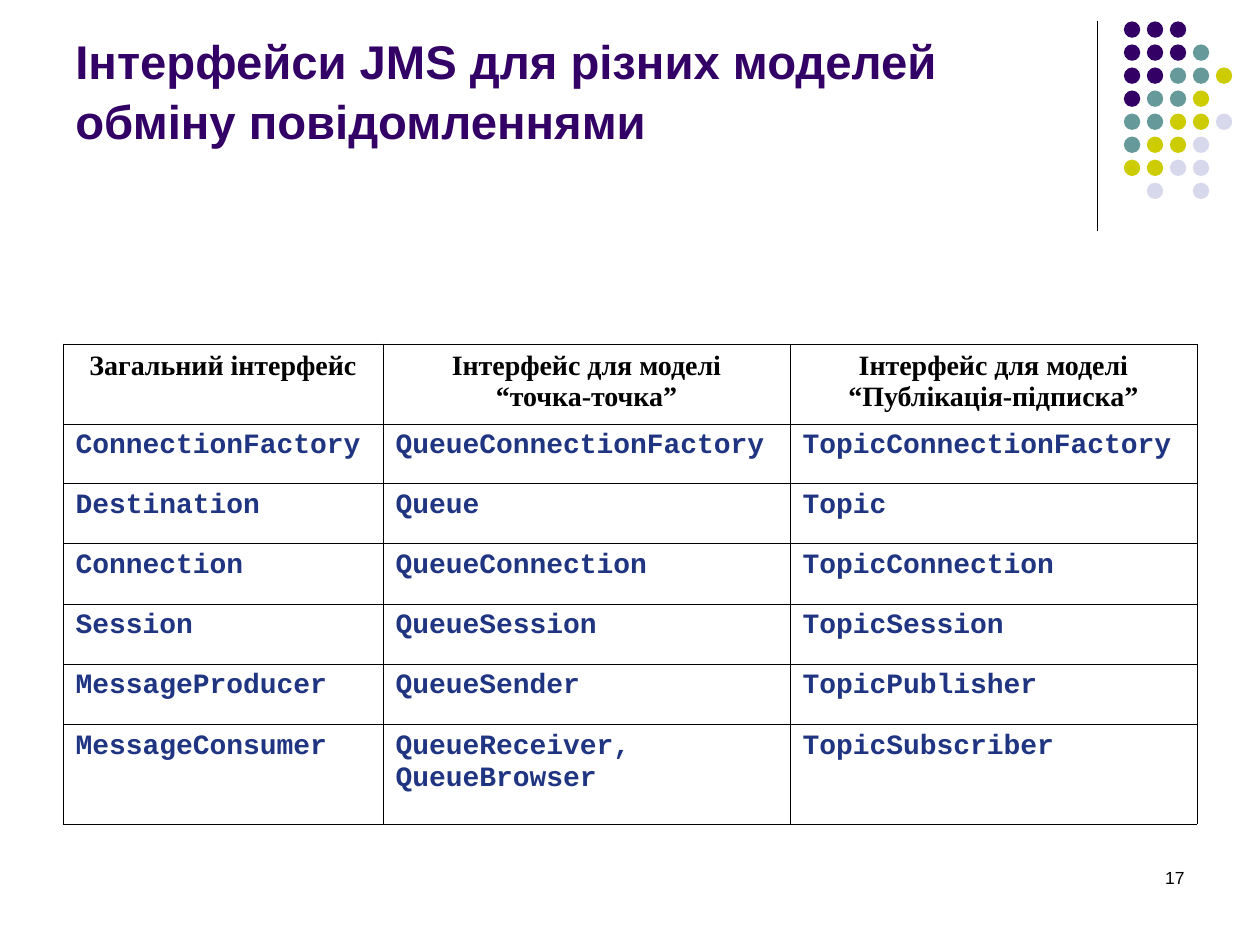
from dataclasses import dataclass

from lxml.etree import SubElement
from pptx import Presentation
from pptx.dml.color import RGBColor
from pptx.enum.shapes import MSO_CONNECTOR, MSO_SHAPE
from pptx.enum.text import MSO_ANCHOR, PP_ALIGN
from pptx.oxml.ns import qn
from pptx.util import Inches, Pt


@dataclass(frozen=True)
class Theme:
    purple: str = "330066"
    teal: str = "669999"
    olive: str = "CCCC00"
    lilac: str = "D8D8EC"
    code: str = "203582"
    black: str = "000000"
    sans: str = "Arial"
    serif: str = "Times New Roman"
    mono: str = "Courier New"
    title_size: float = 27
    table_size: float = 16
    number_size: float = 10
    border: float = 0.45
    rule: float = 0.75


THEME = Theme()
DOT_COLORS = {"P": THEME.purple, "T": THEME.teal, "O": THEME.olive, "L": THEME.lilac}
DOT_ROWS = ["PPP", "PPPT", "PPTTO", "PTTO", "TTOOL", "TOOL", "OOLL", " L L"]

COLUMN_WIDTHS = [2.54, 3.23, 3.23]
ROW_HEIGHTS = [0.64, 0.47, 0.48, 0.48, 0.48, 0.48, 0.79]
INTERFACES = [
    ["Загальний інтерфейс", "Інтерфейс для моделі\n“точка-точка”",
     "Інтерфейс для моделі\n“Публікація-підписка”"],
    ["ConnectionFactory", "QueueConnectionFactory", "TopicConnectionFactory"],
    ["Destination", "Queue", "Topic"],
    ["Connection", "QueueConnection", "TopicConnection"],
    ["Session", "QueueSession", "TopicSession"],
    ["MessageProducer", "QueueSender", "TopicPublisher"],
    ["MessageConsumer", "QueueReceiver,\nQueueBrowser", "TopicSubscriber"],
]


def style(p, face, size, color, bold=False, align=PP_ALIGN.LEFT):
    p.alignment = align
    p.font.name, p.font.size, p.font.bold = face, Pt(size), bold
    p.font.color.rgb = RGBColor.from_string(color)


def add_text(slide, box, text, anchor=MSO_ANCHOR.TOP):
    """Add a wrapping text box and return its paragraph."""
    tf = slide.shapes.add_textbox(*map(Inches, box)).text_frame
    tf.word_wrap = True
    tf.vertical_anchor = anchor
    tf.text = text
    return tf.paragraphs[0]


def add_title(slide, box, text):
    p = add_text(slide, box, text, MSO_ANCHOR.BOTTOM)
    p.line_spacing = 1.05
    style(p, THEME.sans, THEME.title_size, THEME.purple, bold=True)


def add_page_number(slide, box, number):
    p = add_text(slide, box, str(number))
    style(p, THEME.sans, THEME.number_size, THEME.black, align=PP_ALIGN.RIGHT)


def add_rule(slide, x, top, bottom):
    line = slide.shapes.add_connector(
        MSO_CONNECTOR.STRAIGHT, *map(Inches, (x, top, x, bottom)))
    line.line.color.rgb = RGBColor.from_string(THEME.black)
    line.line.width = Pt(THEME.rule)
    SubElement(line._element.spPr, qn("a:effectLst"))


def add_dots(slide, box):
    """Fill the box with the dot pattern, one dot per non-blank letter."""
    left, top, width, height = box
    size = 0.13
    step_x = (width - size) / (max(map(len, DOT_ROWS)) - 1)
    step_y = (height - size) / (len(DOT_ROWS) - 1)
    group = slide.shapes.add_group_shape()
    for r, row in enumerate(DOT_ROWS):
        for c, key in enumerate(row):
            if key == " ":
                continue
            dot = group.shapes.add_shape(
                MSO_SHAPE.OVAL, Inches(left + c * step_x), Inches(top + r * step_y),
                Inches(size), Inches(size))
            dot.shadow.inherit = False
            dot.fill.solid()
            dot.fill.fore_color.rgb = RGBColor.from_string(DOT_COLORS[key])
            dot.line.fill.background()


def set_borders(cell):
    tc_pr = cell._tc.get_or_add_tcPr()
    for i, side in enumerate(("lnL", "lnR", "lnT", "lnB")):
        ln = tc_pr.makeelement(qn(f"a:{side}"), {"w": str(Pt(THEME.border))})
        fill = SubElement(ln, qn("a:solidFill"))
        SubElement(fill, qn("a:srgbClr"), val=THEME.black)
        tc_pr.insert(i, ln)


def fill_cell(cell, text, is_header):
    cell.fill.background()
    set_borders(cell)
    cell.text = text
    for p in cell.text_frame.paragraphs:
        p_pr = p._p.get_or_add_pPr()
        p_pr.set("marL", str(Inches(0.38)))
        p_pr.set("indent", str(Inches(-0.38)))
        if is_header:
            style(p, THEME.serif, THEME.table_size, THEME.black, True, PP_ALIGN.CENTER)
        else:
            style(p, THEME.mono, THEME.table_size, THEME.code, True)


def add_interface_table(slide, box):
    table = slide.shapes.add_table(
        len(INTERFACES), len(COLUMN_WIDTHS), *map(Inches, box)).table
    table.horz_banding = False
    for column, share in zip(table.columns, COLUMN_WIDTHS):
        column.width = Inches(box[2] * share / sum(COLUMN_WIDTHS))
    for row, share in zip(table.rows, ROW_HEIGHTS):
        row.height = Inches(box[3] * share / sum(ROW_HEIGHTS))
    for r, texts in enumerate(INTERFACES):
        for c, text in enumerate(texts):
            fill_cell(table.cell(r, c), text, is_header=r == 0)


def main():
    prs = Presentation()
    prs.slide_width, prs.slide_height = Inches(10), Inches(7.5)
    slide = prs.slides.add_slide(prs.slide_layouts[6])
    add_rule(slide, 8.71, 0.17, 1.83)
    add_dots(slide, (8.92, 0.17, 0.86, 1.41))
    add_page_number(slide, (7.17, 6.83, 2.33, 0.5), 17)
    add_title(slide, (0.5, 0.13, 8.25, 1.1),
              "Інтерфейси JMS для різних моделей обміну повідомленнями")
    add_interface_table(slide, (0.5, 2.73, 9, 3.81))
    prs.save("out.pptx")


if __name__ == "__main__":
    main()
